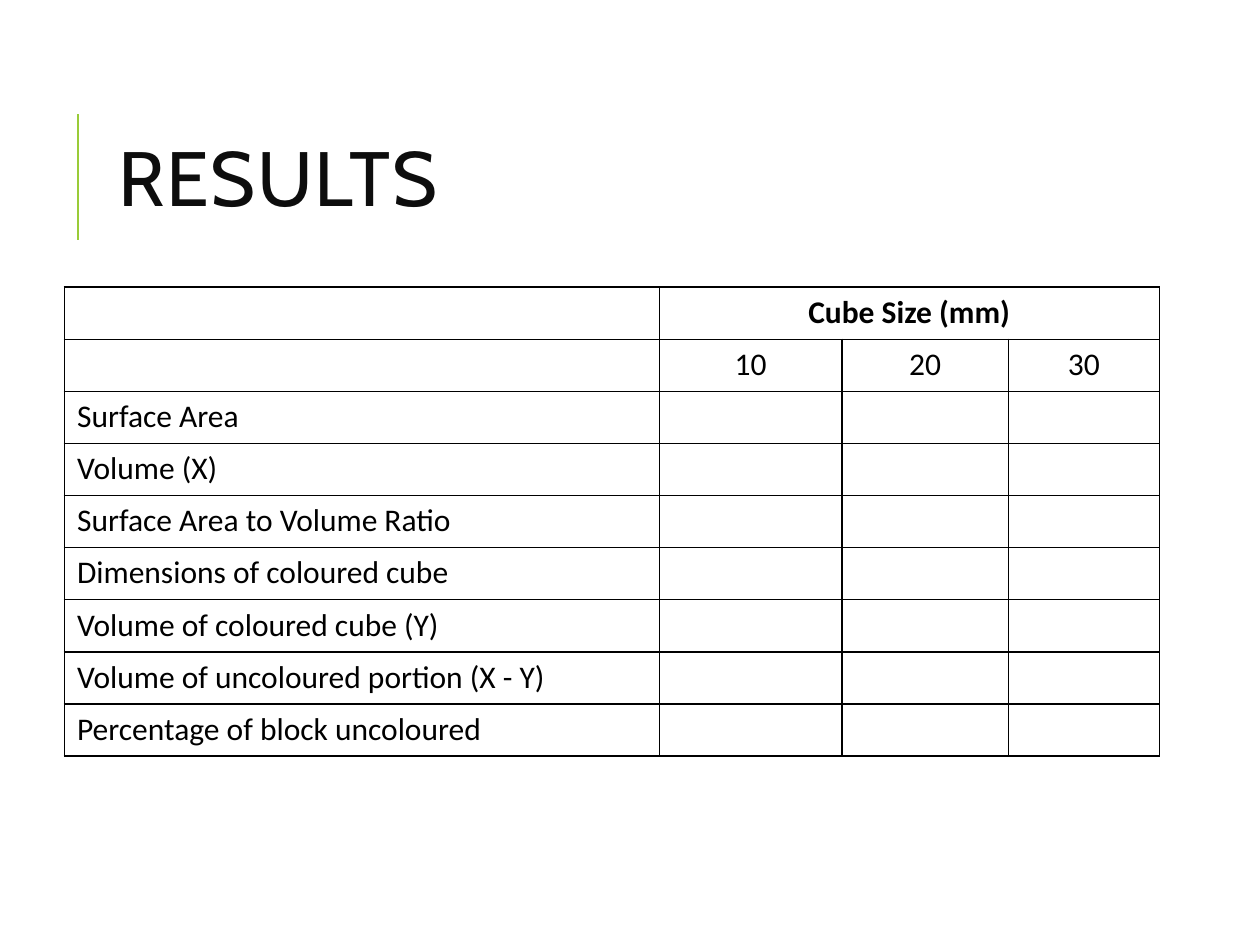
from lxml.etree import SubElement
from pptx import Presentation
from pptx.dml.color import RGBColor
from pptx.enum.shapes import MSO_CONNECTOR
from pptx.enum.text import MSO_ANCHOR, PP_ALIGN
from pptx.oxml import parse_xml
from pptx.oxml.ns import nsdecls, qn
from pptx.util import Cm, Pt

TITLE_FORMAT = {"name": "Cabin", "size": Pt(44)}
BODY_FORMAT = {"name": "Calibri", "size": Pt(18), "bold": False}
HEADING_FORMAT = {**BODY_FORMAT, "bold": True}
COLUMN_WIDTHS = (11.99, 3.68, 3.36, 3.04)
ROW_HEIGHT = 1.05
CUBE_SIZES = ("10", "20", "30")
MEASUREMENTS = (
    "Surface Area",
    "Volume (X)",
    "Surface Area to Volume Ratio",
    "Dimensions of coloured cube",
    "Volume of coloured cube (Y)",
    "Volume of uncoloured portion (X - Y)",
    "Percentage of block uncoloured",
)


def colour(hex_value):
    """Turn a hex string into a colour."""
    return RGBColor.from_string(hex_value)


def add_text(frame, words, font_format, hex_value, alignment=PP_ALIGN.LEFT):
    """Write one formatted run in the first paragraph and return it."""
    paragraph = frame.paragraphs[0]
    paragraph.alignment = alignment
    run = paragraph.add_run()
    run.text = words
    for attribute, value in font_format.items():
        setattr(run.font, attribute, value)
    run.font.color.rgb = colour(hex_value)
    return run


def add_title(slide, left, top, width, height):
    """Place the heading with its green rule on the left."""
    rule_x, rule_top, rule_length = left - 0.56, top + 0.66, 2.54
    rule = slide.shapes.add_connector(
        MSO_CONNECTOR.STRAIGHT,
        Cm(rule_x), Cm(rule_top + rule_length), Cm(rule_x), Cm(rule_top),
    )
    rule.line.color.rgb = colour("99CB38")
    rule.line.width = Pt(1.5)
    SubElement(rule.element.spPr, qn("a:effectLst"))

    heading = slide.shapes.add_textbox(Cm(left), Cm(top), Cm(width), Cm(height))
    frame = heading.text_frame
    for attribute, value in {"word_wrap": True, "vertical_anchor": MSO_ANCHOR.MIDDLE}.items():
        setattr(frame, attribute, value)
    run = add_text(frame, "RESULTS", TITLE_FORMAT, "0D0D0D")
    run.font.element.set("spc", "100") if hasattr(run.font, "element") else run._r.get_or_add_rPr().set("spc", "100")
    frame.paragraphs[0].line_spacing = 0.8


def style_cell(cell):
    """Give a cell thin black borders and a white fill."""
    properties = cell._tc.get_or_add_tcPr()
    for side in ("lnL", "lnR", "lnT", "lnB"):
        properties.append(parse_xml(
            f'<a:{side} {nsdecls("a")} w="{Pt(1)}"><a:solidFill>'
            f'<a:srgbClr val="000000"/></a:solidFill></a:{side}>'
        ))
    cell.fill.solid()
    cell.fill.fore_color.rgb = colour("FFFFFF")


def add_results_table(slide, left, top):
    """Place the table of measurements by cube size."""
    row_count = len(MEASUREMENTS) + 2
    results = slide.shapes.add_table(
        row_count, len(COLUMN_WIDTHS), Cm(left), Cm(top),
        Cm(sum(COLUMN_WIDTHS)), Cm(ROW_HEIGHT * row_count),
    ).table
    for attribute in ("first_row", "horz_banding"):
        setattr(results, attribute, False)
    for column, width in zip(results.columns, COLUMN_WIDTHS):
        column.width = Cm(width)
    for row in results.rows:
        row.height = Cm(ROW_HEIGHT)
    for cell in results.iter_cells():
        style_cell(cell)

    cube_heading = results.cell(0, 1)
    cube_heading.merge(results.cell(0, len(CUBE_SIZES)))
    add_text(cube_heading.text_frame, "Cube Size (mm)", HEADING_FORMAT, "000000", PP_ALIGN.CENTER)
    for index, size in enumerate(CUBE_SIZES, 1):
        add_text(results.cell(1, index).text_frame, size, BODY_FORMAT, "000000", PP_ALIGN.CENTER)
    for index, measurement in enumerate(MEASUREMENTS, 2):
        add_text(results.cell(index, 0).text_frame, measurement, BODY_FORMAT, "000000")


def main():
    """Build the results slide and save it."""
    deck = Presentation()
    deck.slide_width, deck.slide_height = Cm(25.4), Cm(19.05)
    slide = deck.slides.add_slide(deck.slide_layouts[6])
    add_title(slide, 2.13, 1.63, 20.24, 4.17)
    add_results_table(slide, 1.3, 5.79)
    deck.save("out.pptx")


if __name__ == "__main__":
    main()
